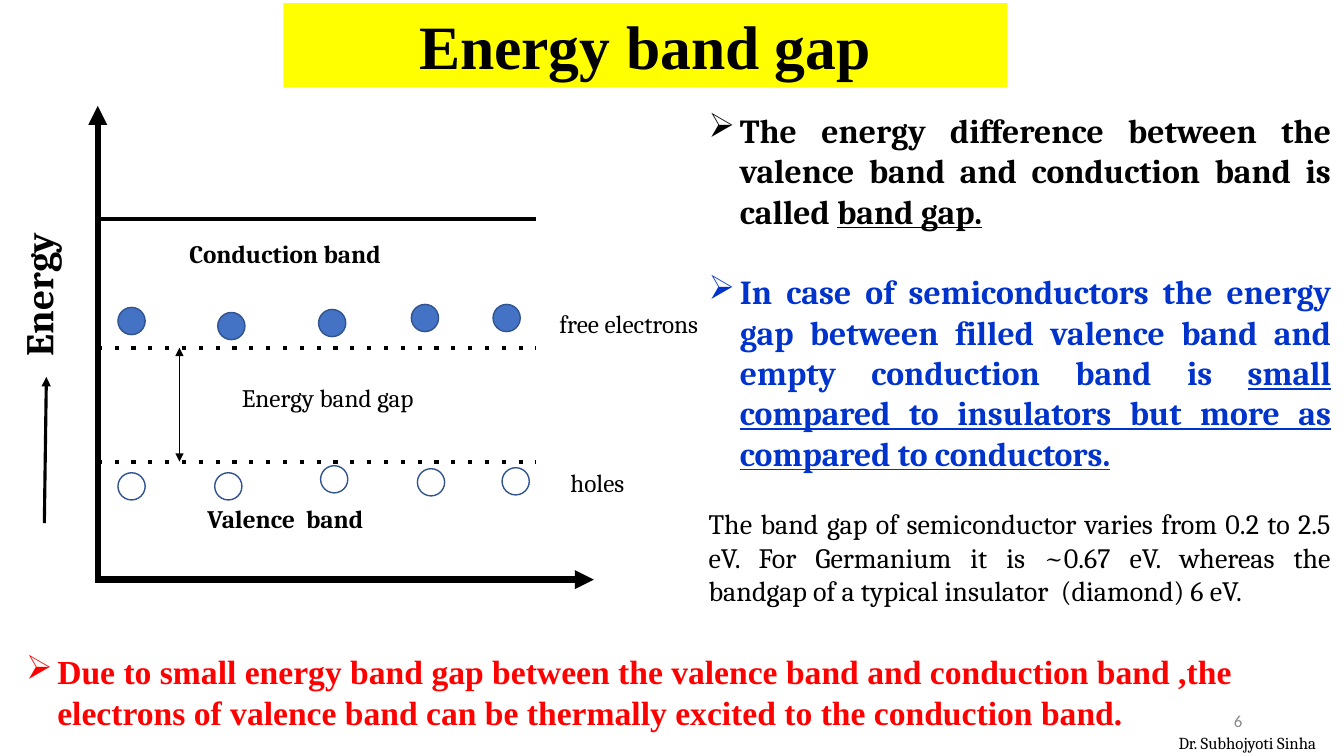
from dataclasses import dataclass

from lxml import etree
from pptx import Presentation
from pptx.dml.color import RGBColor
from pptx.enum.shapes import MSO_CONNECTOR, MSO_SHAPE
from pptx.enum.text import MSO_ANCHOR, PP_ALIGN
from pptx.oxml.ns import qn
from pptx.util import Inches, Pt

LINE, OVAL = MSO_CONNECTOR.STRAIGHT, MSO_SHAPE.OVAL
LEFT, CENTER = PP_ALIGN.LEFT, PP_ALIGN.CENTER
RIGHT, JUSTIFY = PP_ALIGN.RIGHT, PP_ALIGN.JUSTIFY
TOP, MIDDLE = MSO_ANCHOR.TOP, MSO_ANCHOR.MIDDLE
TITLE_ONLY = 5
CELL = Inches(0.1)  # the slide is a grid of 133.3 columns by 75 rows
CIRCLE = 2.7


@dataclass(frozen=True)
class Theme:
    black: str = "000000"
    yellow: str = "FFFF00"
    blue: str = "0033CC"
    red: str = "FF0000"
    gray: str = "888888"
    electron: str = "4472C4"
    outline: str = "31538F"
    serif: str = "Cambria"
    roman: str = "Times New Roman"
    sans: str = "Calibri"
    title: int = 44
    axis: int = 28
    point: int = 24
    body: int = 20
    label: int = 18
    small: int = 12


THEME = Theme()


@dataclass(frozen=True)
class Box:
    """A region of the grid, in columns and rows."""
    left: float
    top: float
    width: float
    height: float

    def inner(self, column, row, width, height):
        return Box(self.left + column, self.top + row, width, height)

    def point(self, column, row):
        return cells(self.left + column), cells(self.top + row)

    def place(self):
        return [cells(n) for n in (self.left, self.top, self.width, self.height)]


def cells(count):
    return round(count * CELL)


def style(paragraph, size, color=THEME.black, font=THEME.serif, bold=False, align=LEFT):
    paragraph.alignment = align
    for run in paragraph.runs:
        run.font.size, run.font.bold, run.font.name = Pt(size), bold, font
        run.font.color.rgb = RGBColor.from_string(color)


def add_bullet(paragraph, color):
    properties = paragraph._p.get_or_add_pPr()
    properties.set("marL", str(Inches(0.31)))
    properties.set("indent", str(-Inches(0.31)))
    bullet_color = etree.SubElement(properties, qn("a:buClr"))
    etree.SubElement(bullet_color, qn("a:srgbClr"), val=color)
    etree.SubElement(properties, qn("a:buFont"), typeface="Wingdings")
    etree.SubElement(properties, qn("a:buChar"), char="Ø")


def add_text_box(slide, box, anchor=TOP):
    shape = slide.shapes.add_textbox(*box.place())
    shape.text_frame.word_wrap = True
    shape.text_frame.vertical_anchor = anchor
    return shape


def add_label(slide, box, text, size=THEME.label, anchor=TOP, **look):
    shape = add_text_box(slide, box, anchor)
    paragraph = shape.text_frame.paragraphs[0]
    paragraph.text = text
    style(paragraph, size, **look)
    return shape


def add_line(slide, start, end, width, dash=None, head=False, tail=False):
    line = slide.shapes.add_connector(LINE, *start, *end)
    line.line.color.rgb = RGBColor.from_string(THEME.black)
    line.line.width = Pt(width)
    outline = line.line._get_or_add_ln()
    if dash:
        etree.SubElement(outline, qn("a:prstDash"), val=dash)
    for wanted, tag in ((head, "a:headEnd"), (tail, "a:tailEnd")):
        if wanted:
            etree.SubElement(outline, qn(tag), type="triangle")
    etree.SubElement(line._element.spPr, qn("a:effectLst"))


def add_carriers(slide, box, places, fill=None):
    for column, row in places:
        circle = slide.shapes.add_shape(OVAL, *box.inner(column, row, CIRCLE, CIRCLE).place())
        circle.shadow.inherit = False
        if fill:
            circle.fill.solid()
            circle.fill.fore_color.rgb = RGBColor.from_string(fill)
        else:
            circle.fill.background()
        circle.line.color.rgb = RGBColor.from_string(THEME.outline)
        circle.line.width = Pt(1)


def add_title(slide, box):
    title = slide.shapes.title
    title.left, title.top, title.width, title.height = box.place()
    title.fill.solid()
    title.fill.fore_color.rgb = RGBColor.from_string(THEME.yellow)
    title.text_frame.text = "Energy band gap"
    title.text_frame.vertical_anchor = TOP
    style(title.text_frame.paragraphs[0], THEME.title, font=THEME.roman, bold=True, align=CENTER)


def add_band_diagram(slide, box):
    band_end, conduction_top, conduction_edge, valence_edge = 43.5, 11.2, 24, 35.3

    # Axes
    add_line(slide, box.point(0, box.height), box.point(box.width, box.height), 4.5, tail=True)
    add_line(slide, box.point(0, box.height + 0.3), box.point(0, 0), 4.5, tail=True)

    # Band edges
    for row, dash in ((valence_edge, "dot"), (conduction_edge, "dot"), (conduction_top, None)):
        add_line(slide, box.point(0, row), box.point(band_end, row), 3, dash)

    # Free electrons and holes
    add_carriers(slide, box, [(2, 20), (11.9, 20.5), (21.9, 20.2), (31.1, 19.7), (39.2, 19.7)],
                 THEME.electron)
    add_carriers(slide, box, [(2, 36.4), (11.6, 36.4), (22.1, 35.7), (31.7, 36), (40.1, 35.9)])

    # Energy direction and gap arrows
    energy = add_label(slide, box.inner(-15, 13.9, 18.1, 5.7), "Energy", THEME.axis, bold=True)
    energy.rotation = 270
    add_line(slide, box.point(-5.3, 41.4), box.point(-5.1, 26.9), 2.25, tail=True)
    add_line(slide, box.point(8.1, conduction_edge), box.point(8.1, valence_edge), 1,
             head=True, tail=True)

    # Labels
    for text, column, row, width, bold in (
        ("Conduction band", 8.1, 12.7, 35.3, True),
        ("Valence  band", 9.9, 38.9, 35.3, True),
        ("Energy band gap", 13.3, 26.9, 30.2, False),
        ("holes", 45.9, 35.4, 10.7, False),
        ("free electrons", 44.8, 19.6, 18.6, False),
    ):
        add_label(slide, box.inner(column, row, width, 4), text, bold=bold)


def add_explanation(slide, box):
    frame = add_text_box(slide, box).text_frame
    points = (
        (THEME.black, 0, "The energy difference between the valence band and conduction band "
         "is called ", "band gap."),
        (THEME.blue, 29, "In case of semiconductors the energy gap between filled valence band "
         "and empty conduction band is ",
         "small compared to insulators but more as compared to conductors."),
    )
    for index, (color, space, plain, underlined) in enumerate(points):
        paragraph = frame.add_paragraph() if index else frame.paragraphs[0]
        add_bullet(paragraph, color)
        paragraph.space_before = Pt(space)
        paragraph.text = plain
        ending = paragraph.add_run()
        ending.text = underlined
        ending.font.underline = True
        style(paragraph, THEME.point, color, bold=True, align=JUSTIFY)

    values = frame.add_paragraph()
    values.space_before = Pt(24)
    values.text = ("The band gap of semiconductor varies from 0.2 to 2.5 eV. For Germanium it is "
                   "~0.67 eV. whereas the bandgap of a typical insulator  (diamond) 6 eV.")
    style(values, THEME.body, align=JUSTIFY)


def add_conclusion(slide, box):
    text = ("Due to small energy band gap between the valence band and conduction band ,the "
            "electrons of valence band can be thermally excited to the conduction band.")
    shape = add_label(slide, box, text, THEME.point, color=THEME.red, font=THEME.roman, bold=True)
    add_bullet(shape.text_frame.paragraphs[0], THEME.red)


def add_footer(slide, box):
    add_label(slide, box.inner(0, 0, 30, 4), "6", THEME.small, MIDDLE,
              color=THEME.gray, font=THEME.sans, align=RIGHT)
    add_label(slide, box.inner(21.7, 2.7, 19.8, 3), "Dr. Subhojyoti Sinha", THEME.small)


def main():
    presentation = Presentation()
    presentation.slide_width, presentation.slide_height = Inches(13.33), Inches(7.5)
    slide = presentation.slides.add_slide(presentation.slide_layouts[TITLE_ONLY])
    add_explanation(slide, Box(69.3, 10.4, 63.7, 57.9))
    add_title(slide, Box(28.1, 0.3, 71.8, 8.4))
    add_conclusion(slide, Box(1.6, 64.1, 125.1, 9.1))
    add_band_diagram(slide, Box(9.7, 10.5, 49.2, 47))
    add_footer(slide, Box(94.2, 69.5, 41.5, 5.7))
    presentation.save("out.pptx")


if __name__ == "__main__":
    main()
